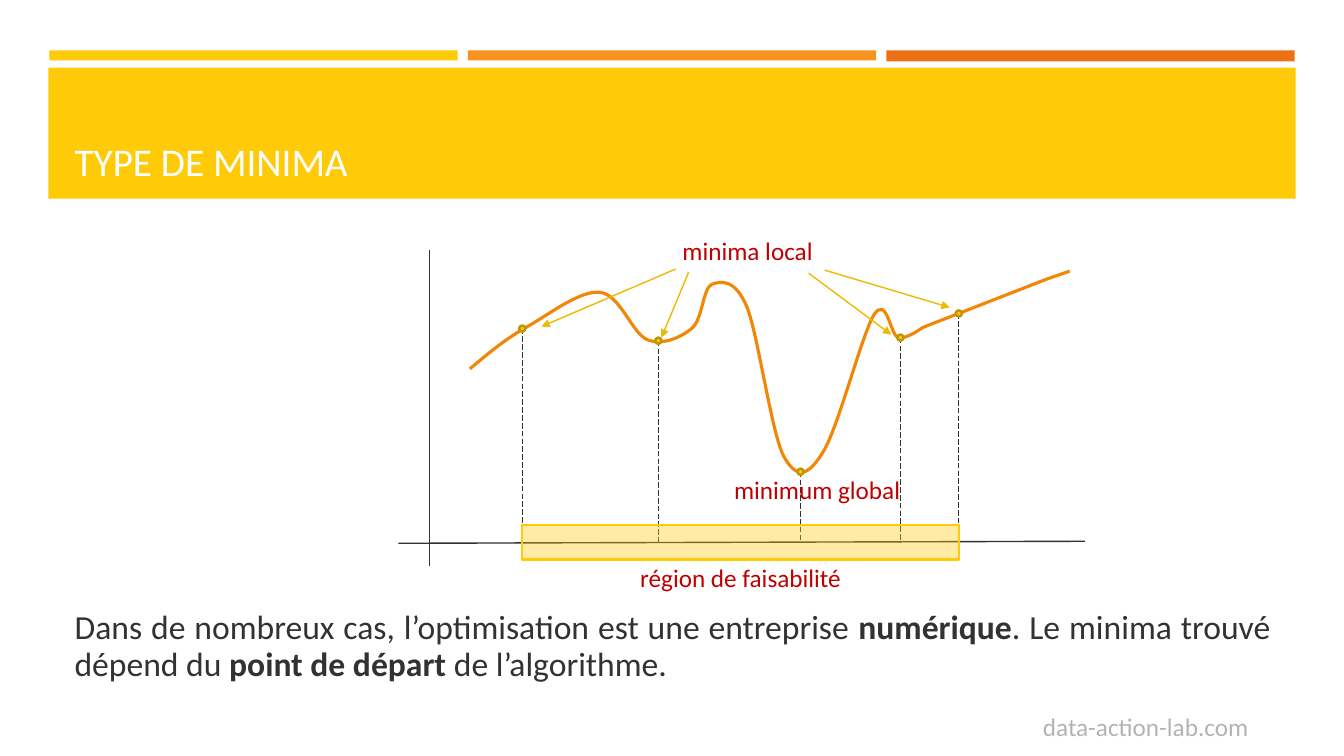
"""Build the slide on the types of minima of an objective function."""
from lxml import etree
from pptx import Presentation
from pptx.dml.color import RGBColor
from pptx.enum.dml import MSO_LINE
from pptx.enum.shapes import MSO_CONNECTOR, MSO_SHAPE
from pptx.enum.text import MSO_ANCHOR, PP_ALIGN
from pptx.oxml.ns import qn
from pptx.util import Inches, Pt

DARK, GOLD, RED = "323232", "FFCA08", "C00000"
colour = RGBColor.from_string

presentation = Presentation()
presentation.slide_width, presentation.slide_height = Inches(13.33), Inches(7.5)
slide = presentation.slides.add_slide(presentation.slide_layouts[1])
shapes = slide.shapes
title, body = slide.placeholders


def add_line(start, end, line_colour, width):
    line = shapes.add_connector(MSO_CONNECTOR.STRAIGHT, *map(Inches, start + end))
    line.line.color.rgb = colour(line_colour)
    line.line.width = Pt(width)
    etree.SubElement(line.element.spPr, qn("a:effectLst"))
    return line


def add_label(text, left, top, width, label_colour, alignment):
    box = shapes.add_textbox(*map(Inches, (left, top, width, 0.4)))
    box.text_frame.word_wrap = True
    box.text_frame.text = text
    paragraph = box.text_frame.paragraphs[0]
    paragraph.alignment = alignment
    font = paragraph.runs[0].font
    font.name, font.size = "Calibri", Pt(18)
    font.color.rgb = colour(label_colour)
    return box


bands = [
    (0.49, 0.5, 4.05, 0.1, GOLD),
    (8.79, 0.5, 4.05, 0.11, "EC7016"),
    (4.64, 0.5, 4.05, 0.1, "F8931D"),
    (0.48, 0.67, 12.37, 1.3, GOLD),
]
for *place, fill_colour in bands:
    band = shapes.add_shape(MSO_SHAPE.RECTANGLE, *map(Inches, place))
    band.shadow.inherit = False
    band.fill.solid()
    band.fill.fore_color.rgb = colour(fill_colour)
    band.line.fill.background()
    title.element.addprevious(band.element)
site = add_label("data-action-lab.com", 9.88, 7.01, 2.6, "B3B3B3", PP_ALIGN.RIGHT)
title.element.addprevious(site.element)

title.left, title.top, title.width, title.height = map(Inches, (0.64, 0.77, 12.06, 1.11))
title.text_frame.text = "TYPE DE MINIMA"
title.text_frame.vertical_anchor = MSO_ANCHOR.BOTTOM
heading = title.text_frame.paragraphs[0]
heading.alignment = PP_ALIGN.LEFT
heading.runs[0].font.name = "Calibri"
heading.runs[0].font.size = Pt(28)
heading.runs[0].font.color.rgb = colour("FFFFFF")

body.left, body.top, body.width, body.height = map(Inches, (0.64, 2.38, 12.06, 4.53))
body.text_frame.vertical_anchor = MSO_ANCHOR.BOTTOM
body.text_frame.margin_bottom = Inches(0.13)
paragraph = body.text_frame.paragraphs[0]
properties = paragraph._p.get_or_add_pPr()
properties.set("marL", "0")
properties.set("indent", "0")
etree.SubElement(properties, qn("a:buNone"))
paragraph.alignment = PP_ALIGN.JUSTIFY
paragraph.line_spacing = 0.9
paragraph.space_before = Pt(0)
for text, bold in [
    ("Dans de nombreux cas, l’optimisation est une entreprise ", False),
    ("numérique", True),
    (". Le minima trouvé dépend du ", False),
    ("point de départ", True),
    (" de l’algorithme.", False),
]:
    run = paragraph.add_run()
    run.text = text
    run.font.name, run.font.size, run.font.bold = "Calibri", Pt(24), bold
    run.font.color.rgb = colour(DARK)

curve_pieces = [
    ((4.85, 3.5), (5.03, 3.35), (5.25, 3.23)),
    ((5.47, 3.1), (5.76, 2.88), (5.95, 2.9)),
    ((6.15, 2.92), (6.27, 3.31), (6.42, 3.37)),
    ((6.57, 3.43), (6.75, 3.35), (6.86, 3.26)),
    ((6.97, 3.17), (6.97, 2.86), (7.06, 2.82)),
    ((7.15, 2.79), (7.29, 2.76), (7.41, 3.05)),
    ((7.52, 3.33), (7.65, 4.28), (7.77, 4.52)),
    ((7.9, 4.76), (8.01, 4.73), (8.16, 4.49)),
    ((8.31, 4.26), (8.55, 3.31), (8.67, 3.12)),
    ((8.8, 2.93), (8.83, 3.33), (8.91, 3.35)),
    ((8.99, 3.37), (9.15, 3.25), (9.15, 3.25)),
    ((10.38, 2.77),),
    ((10.61, 2.69),),
]
builder = shapes.build_freeform(Inches(4.66), Inches(3.66))
builder.add_line_segments(
    [tuple(map(Inches, point)) for piece in curve_pieces for point in piece], close=False)
curve = builder.convert_to_shape()
outline = next(curve.element.iter(qn("a:path")))
segments = iter(outline.findall(qn("a:lnTo")))
for piece in curve_pieces:
    first, *others = [next(segments) for _ in piece]
    if others:
        bezier = etree.Element(qn("a:cubicBezTo"))
        first.addprevious(bezier)
        for segment in (first, *others):
            bezier.append(segment[0])
            outline.remove(segment)
curve.height = Inches(2)
outline.set("h", str(Inches(2)))
curve.shadow.inherit = False
curve.fill.background()
curve.line.color.rgb = colour("F28607")
curve.line.width = Pt(2.25)

add_line((4.26, 2.48), (4.26, 5.62), DARK, 1)
add_line((10.76, 5.37), (3.95, 5.39), DARK, 1)

minima = [(5.18, 3.26), (6.53, 3.38), (7.94, 4.68), (8.93, 3.35), (9.51, 3.11)]
for x, y in minima:
    drop = add_line((x, y), (x, 5.39), DARK, 0.5)
    drop.line.dash_style = MSO_LINE.LONG_DASH

region = shapes.add_shape(MSO_SHAPE.RECTANGLE, *map(Inches, (5.18, 5.21, 4.33, 0.34)))
region.shadow.inherit = False
region.fill.solid()
region.fill.fore_color.rgb = colour(GOLD)
fill = region.element.spPr.find(qn("a:solidFill"))
etree.SubElement(fill[0], qn("a:alpha"), val="37000")
region.line.color.rgb = colour(GOLD)
region.line.width = Pt(1.75)

DOT = 0.06
for x, y in minima:
    dot = shapes.add_shape(
        MSO_SHAPE.OVAL, Inches(x - DOT / 2), Inches(y - DOT / 2), Inches(DOT), Inches(DOT))
    dot.shadow.inherit = False
    dot.fill.solid()
    dot.fill.fore_color.rgb = colour(GOLD)
    dot.line.color.rgb = colour("BD9506")
    dot.line.width = Pt(1.75)

for text, left, top in [
    ("région de faisabilité", 5.54, 5.53),
    ("minima local", 5.61, 2.29),
    ("minimum global", 6.3, 4.66),
]:
    add_label(text, left, top, 3.61, RED, PP_ALIGN.CENTER)

for start, end in [
    ((6.83, 2.7), (6.56, 3.35)),
    ((8.02, 2.71), (8.84, 3.32)),
    ((6.7, 2.67), (5.37, 3.24)),
    ((8.18, 2.68), (9.42, 3.05)),
]:
    arrow = add_line(start, end, "EDBA00", 1)
    etree.SubElement(arrow.line._get_or_add_ln(), qn("a:tailEnd"), type="triangle")

presentation.save("out.pptx")
